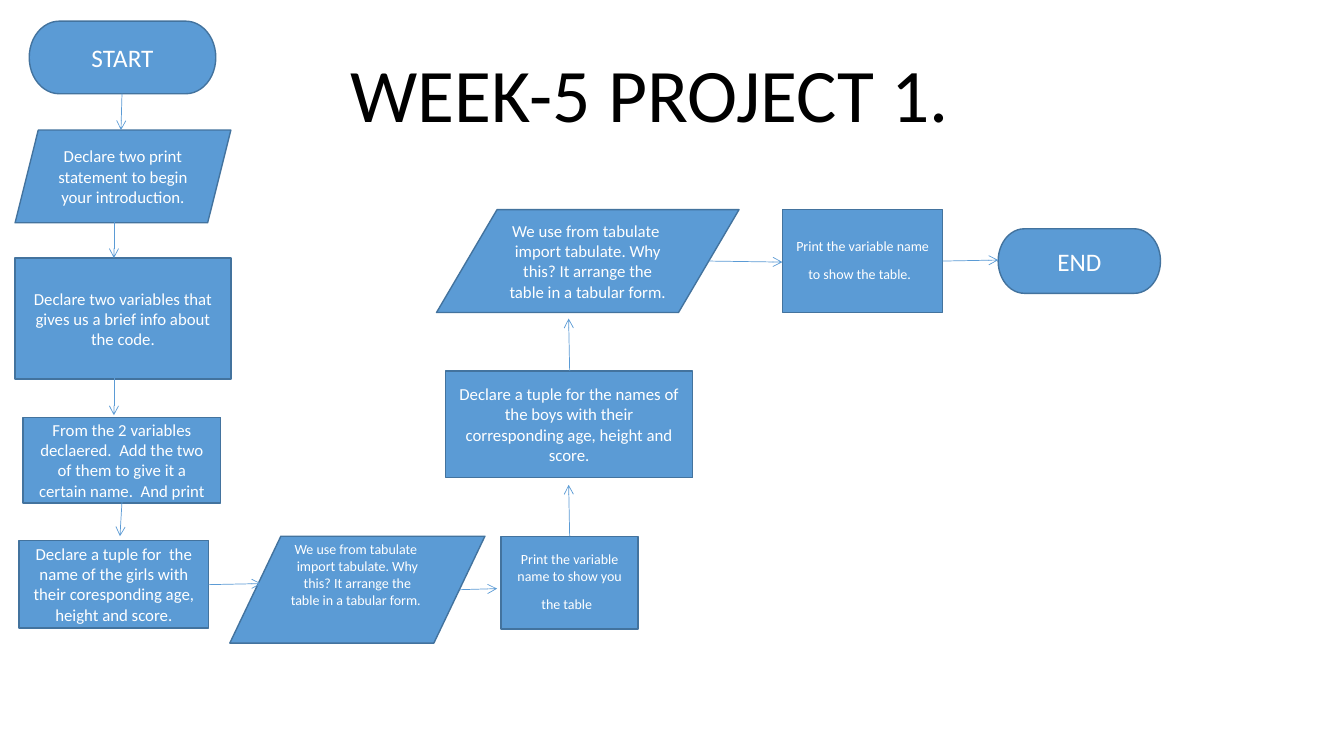
from lxml import etree
from pptx import Presentation
from pptx.dml.color import RGBColor
from pptx.enum.shapes import MSO_CONNECTOR, MSO_SHAPE
from pptx.enum.text import MSO_ANCHOR, PP_ALIGN
from pptx.oxml.ns import qn
from pptx.util import Inches, Pt

TERMINATOR = MSO_SHAPE.FLOWCHART_TERMINATOR
PROCESS = MSO_SHAPE.FLOWCHART_PROCESS
DATA = MSO_SHAPE.FLOWCHART_DATA
PARALLELOGRAM = MSO_SHAPE.PARALLELOGRAM
RECTANGLE = MSO_SHAPE.RECTANGLE
STRAIGHT = MSO_CONNECTOR.STRAIGHT
CENTER = PP_ALIGN.CENTER
MIDDLE = MSO_ANCHOR.MIDDLE
BOTTOM = MSO_ANCHOR.BOTTOM

BLUE = "5B9BD5"
DARK_BLUE = "43739E"
WHITE = "FFFFFF"
BLACK = "000000"


def color(value):
    return RGBColor.from_string(value)


def write(box, text, size, text_color, anchor):
    frame = box.text_frame
    frame.word_wrap = True
    frame.vertical_anchor = anchor
    para = frame.paragraphs[0]
    para.alignment = CENTER
    para.font.name = "Calibri"
    para.font.size = Pt(size)
    para.font.color.rgb = color(text_color)
    para.add_run().text = text
    return para


deck = Presentation()
deck.slide_width = Inches(13.33)
deck.slide_height = Inches(7.5)
page = deck.slides.add_slide(deck.slide_layouts[6])

title = page.shapes.add_textbox(Inches(2.28), Inches(0.8), Inches(8.33), Inches(0.63))
write(title, "WEEK-5 PROJECT 1.", 54, BLACK, BOTTOM).line_spacing = 0.9

tabulate = ("We use from tabulate  import tabulate. Why this? "
            "It arrange the table in a tabular form.")
steps = [
    (TERMINATOR, 0.29, 0.21, 1.85, 0.72, 18, "START"),
    (PARALLELOGRAM, 0.15, 1.29, 2.14, 0.92, 12,
     "Declare two print statement to begin your introduction."),
    (PROCESS, 0.15, 2.56, 2.14, 1.2, 12,
     "Declare two variables that gives us a brief info about the code."),
    (PROCESS, 0.23, 4.14, 1.96, 0.85, 12,
     "From the 2 variables declaered.  Add the two of them to give it "
     "a certain name.  And print"),
    (RECTANGLE, 0.19, 5.36, 1.88, 0.87, 12,
     "Declare a tuple for  the name of the girls with their coresponding age, "
     "height and score."),
    (DATA, 2.28, 5.32, 2.53, 1.06, 10, tabulate + "  "),
    (PROCESS, 4.97, 5.32, 1.36, 0.92, 10,
     "Print the variable name to show you the table"),
    (PROCESS, 4.42, 3.68, 2.45, 1.06, 12,
     "Declare a tuple for the names of the boys with their corresponding age, "
     "height and score."),
    (DATA, 4.33, 2.08, 3, 1.02, 12, tabulate),
    (RECTANGLE, 7.76, 2.08, 1.59, 1.02, 10,
     "Print the variable name to show the table."),
    (TERMINATOR, 9.9, 2.27, 1.61, 0.64, 18, "END"),
]
for kind, left, top, width, height, size, text in steps:
    step = page.shapes.add_shape(
        kind, Inches(left), Inches(top), Inches(width), Inches(height))
    step.shadow.inherit = False
    step.fill.solid()
    step.fill.fore_color.rgb = color(BLUE)
    step.line.color.rgb = color(DARK_BLUE)
    step.line.width = Pt(1)
    para = write(step, text, size, WHITE, MIDDLE)
    if size == 10:
        span = para.add_run()
        span.text = " "
        span.font.size = Pt(18)

arrows = [
    (1.21, 0.93, 1.2, 1.29),
    (1.13, 2.2, 1.13, 2.56),
    (1.13, 3.68, 1.13, 4.12),
    (1.21, 4.98, 1.19, 5.32),
    (2.07, 5.8, 2.59, 5.79),
    (4.56, 5.85, 4.93, 5.84),
    (5.65, 5.32, 5.64, 4.81),
    (5.65, 3.68, 5.64, 3.16),
    (7.03, 2.59, 7.76, 2.6),
    (9.35, 2.59, 9.9, 2.58),
]
for ends in arrows:
    arrow = page.shapes.add_connector(STRAIGHT, *[Inches(end) for end in ends])
    arrow.line.color.rgb = color(BLUE)
    arrow.line.width = Pt(0.5)
    etree.SubElement(arrow.line._get_or_add_ln(), qn("a:tailEnd"), type="arrow")
    etree.SubElement(arrow._element.spPr, qn("a:effectLst"))

deck.save("out.pptx")
